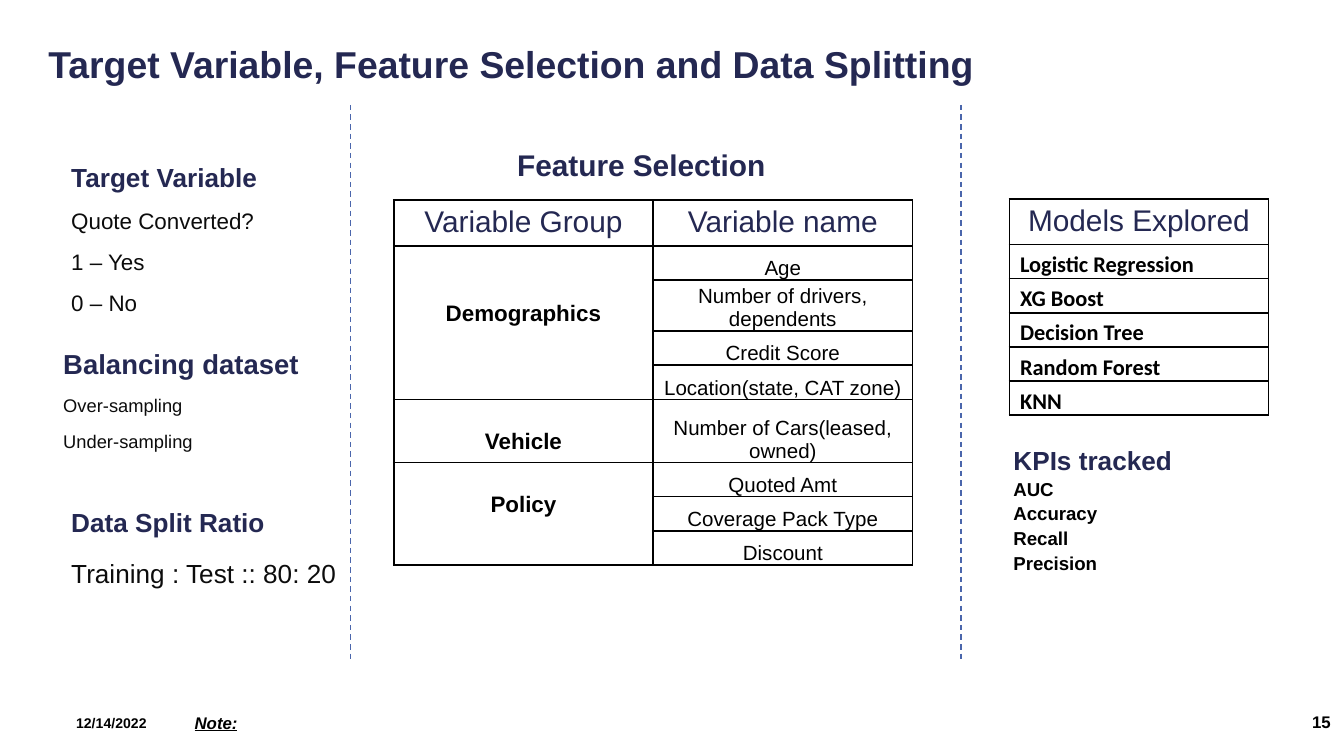
from dataclasses import dataclass

from lxml.etree import SubElement
from pptx import Presentation
from pptx.dml.color import RGBColor
from pptx.enum.dml import MSO_LINE_DASH_STYLE as Dash
from pptx.enum.shapes import MSO_CONNECTOR as Connector
from pptx.enum.text import MSO_ANCHOR as Anchor, MSO_AUTO_SIZE as AutoSize, PP_ALIGN as Align
from pptx.oxml.ns import qn
from pptx.util import Inches, Pt

COLORS = {"navy": "242852", "body": "0C0C0C", "black": "000000",
          "white": "FFFFFF", "divider": "4A66AC"}
MODELS = ["Logistic Regression", "XG Boost", "Decision Tree", "Random Forest", "KNN"]
COLUMN_WIDTH, HEADER_HEIGHT, MODELS_HEIGHT = 1.93, 0.34, 1.61
ROW_HEIGHT = (MODELS_HEIGHT - HEADER_HEIGHT) / len(MODELS)


@dataclass
class Section:
    """A heading with plain lines below it."""
    area: tuple
    heading: str
    lines: list
    heading_size: float = 14
    line_size: float = 12
    color: str = "body"
    bold: bool = False
    before: float = 7.5
    spacing: float = 1.0
    anchor: Anchor = Anchor.TOP


@dataclass
class Label:
    area: tuple
    text: str
    size: float
    color: str = "black"
    align: Align = Align.LEFT
    anchor: Anchor = Anchor.TOP
    italic: bool = False
    underline: bool = False


@dataclass
class Group:
    """A variable group, its variables and the space above its name."""
    name: str
    variables: list
    top: float


SECTIONS = [
    Section((0.43, 1.3, 2.7, 1.1), "Target Variable",
            ["Quote Converted?", "1 – Yes", "0 – No"], anchor=Anchor.BOTTOM),
    Section((0.37, 2.53, 2.5, 0.94), "Balancing dataset",
            ["Over-sampling", "Under-sampling"], heading_size=14.7, line_size=9.8),
    Section((0.43, 3.67, 2.5, 0.94), "Data Split Ratio",
            ["Training : Test :: 80: 20"], line_size=14, spacing=1.2),
    Section((7.44, 3.23, 1.84, 1.17), "KPIs tracked",
            ["AUC", "Accuracy", "Recall", "Precision"],
            line_size=10, color="black", bold=True, before=0, spacing=1.1),
]
LABELS = [
    Label((3.75, 1.04, 2.5, 0.37), "Feature Selection", 16, "navy"),
    Label((0, 5.23, 1.19, 0.3), "12/14/2022", 7.5, align=Align.RIGHT, anchor=Anchor.MIDDLE),
    Label((7.67, 5.22, 2.33, 0.3), "15", 9, align=Align.RIGHT, anchor=Anchor.MIDDLE),
    Label((1.35, 5.25, 4.57, 0.25), "Note:", 9, italic=True, underline=True),
]
# Each variable comes with its row height
GROUPS = [
    Group("Demographics", [("Age", ROW_HEIGHT), ("Number of drivers, dependents", 0.38),
                           ("Credit Score", ROW_HEIGHT),
                           ("Location(state, CAT zone)", ROW_HEIGHT)], 0.41),
    Group("Vehicle", [("Number of Cars(leased, owned)", 0.47)], 0.22),
    Group("Policy", [("Quoted Amt", ROW_HEIGHT), ("Coverage Pack Type", ROW_HEIGHT),
                     ("Discount", ROW_HEIGHT)], 0.22),
]


def rgb(name: str) -> RGBColor:
    return RGBColor.from_string(COLORS[name])


def write(para, text: str, *, size: float, color: str = "black", bold: bool = False,
          italic: bool = False, underline: bool = False, font: str = "Arial",
          align: Align = Align.LEFT, before: float = 0, spacing: float = 1.0) -> None:
    para.alignment = align
    para.space_before, para.space_after = Pt(before), Pt(0)
    para.line_spacing = spacing
    span = para.add_run()
    span.text = text
    span.font.name, span.font.size = font, Pt(size)
    span.font.bold, span.font.italic, span.font.underline = bold, italic, underline
    span.font.color.rgb = rgb(color)


def prepare(box, area: tuple, anchor: Anchor = Anchor.TOP):
    """Place a box and return its text frame."""
    box.left, box.top, box.width, box.height = (Inches(v) for v in area)
    frame = box.text_frame
    frame.word_wrap, frame.auto_size = True, AutoSize.NONE
    frame.vertical_anchor = anchor
    return frame


def fill_section(box, section: Section) -> None:
    frame = prepare(box, section.area, section.anchor)
    write(frame.paragraphs[0], section.heading, size=section.heading_size,
          color="navy", bold=True, spacing=section.spacing)
    for line in section.lines:
        write(frame.add_paragraph(), line, size=section.line_size, color=section.color,
              bold=section.bold, before=section.before, spacing=section.spacing)
    for para in frame.paragraphs:
        properties = para._p.get_or_add_pPr()
        properties.set("marL", "0")
        properties.set("indent", "0")
        SubElement(properties, qn("a:buNone"))


def add_label(page, label: Label) -> None:
    box = page.shapes.add_textbox(0, 0, 0, 0)
    frame = prepare(box, label.area, label.anchor)
    write(frame.paragraphs[0], label.text, size=label.size, color=label.color, bold=True,
          italic=label.italic, underline=label.underline, align=label.align)


def add_grid(page, left: float, top: float, columns: int, heights: list):
    """Add a white table with thin black borders."""
    table = page.shapes.add_table(
        len(heights), columns, Inches(left), Inches(top),
        Inches(COLUMN_WIDTH * columns), Inches(sum(heights))).table
    table.first_row = table.horz_banding = False
    for row, height in zip(table.rows, heights):
        row.height = Inches(height)
    for cell in table.iter_cells():
        properties = cell._tc.get_or_add_tcPr()
        for side in ("a:lnL", "a:lnR", "a:lnT", "a:lnB"):
            border = SubElement(properties, qn(side), w=str(Pt(1)))
            SubElement(SubElement(border, qn("a:solidFill")), qn("a:srgbClr"),
                       val=COLORS["black"])
        cell.fill.solid()
        cell.fill.fore_color.rgb = rgb("white")
    return table


def fill_cell(cell, text: str, margins: tuple, anchor: Anchor = Anchor.TOP, **style) -> None:
    (cell.margin_left, cell.margin_top,
     cell.margin_right, cell.margin_bottom) = (Inches(v) for v in margins)
    cell.vertical_anchor = anchor
    write(cell.text_frame.paragraphs[0], text, **style)


def fill_header(cell, text: str) -> None:
    fill_cell(cell, text, (0.07, 0.04, 0.07, 0.04), size=16, color="navy", align=Align.CENTER)


def add_features(page) -> None:
    heights = [height for group in GROUPS for _, height in group.variables]
    table = add_grid(page, 2.93, 1.49, 2, [HEADER_HEIGHT] + heights)
    fill_header(table.cell(0, 0), "Variable Group")
    fill_header(table.cell(0, 1), "Variable name")
    row = 1
    for group in GROUPS:
        first = table.cell(row, 0)
        if len(group.variables) > 1:
            first.merge(table.cell(row + len(group.variables) - 1, 0))
        fill_cell(first, group.name, (0.07, group.top, 0.07, 0.04),
                  size=12, bold=True, align=Align.CENTER)
        for name, _ in group.variables:
            fill_cell(table.cell(row, 1), name, (0.01, 0.01, 0.01, 0), Anchor.BOTTOM,
                      size=11, align=Align.CENTER)
            row += 1


def add_models(page) -> None:
    table = add_grid(page, 7.51, 1.48, 1, [HEADER_HEIGHT] + [ROW_HEIGHT] * len(MODELS))
    fill_header(table.cell(0, 0), "Models Explored")
    for row, model in enumerate(MODELS, 1):
        fill_cell(table.cell(row, 0), model, (0.08, 0.01, 0.01, 0), Anchor.BOTTOM,
                  size=12, bold=True, font="Calibri")


def add_divider(page, x: float) -> None:
    line = page.shapes.add_connector(Connector.STRAIGHT, Inches(x), Inches(0.78),
                                     Inches(x), Inches(4.93))
    line.line.color.rgb = rgb("divider")
    line.line.width, line.line.dash_style = Pt(0.75), Dash.DASH
    SubElement(line._element.spPr, qn("a:effectLst"))


def main() -> None:
    deck = Presentation()
    # Widescreen, 16 by 9
    deck.slide_width, deck.slide_height = Inches(10), Inches(10) * 9 // 16
    # The comparison layout has a title and four bodies
    page = deck.slides.add_slide(deck.slide_layouts[4])
    title, *bodies = page.placeholders
    frame = prepare(title, (0.26, 0.26, 8.44, 0.44))
    write(frame.paragraphs[0], "Target Variable, Feature Selection and Data Splitting",
          size=20, color="navy", bold=True)
    for box, section in zip(bodies, SECTIONS):
        fill_section(box, section)
    for label in LABELS:
        add_label(page, label)
    add_features(page)
    add_models(page)
    for x in (2.61, 7.15):
        add_divider(page, x)
    deck.save("out.pptx")


if __name__ == "__main__":
    main()
